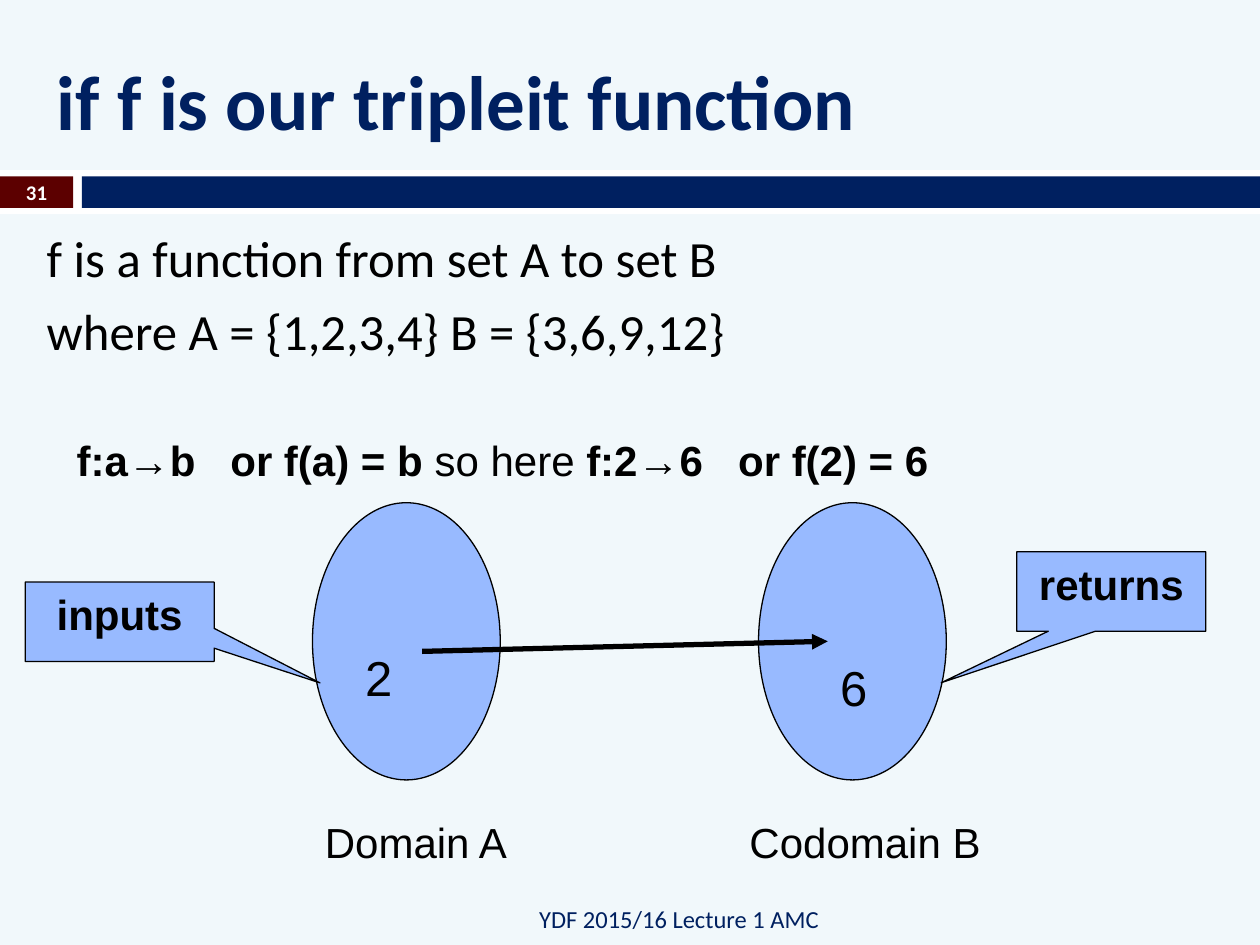
from pptx import Presentation
from pptx.dml.color import RGBColor as Rgb
from pptx.enum.shapes import MSO_CONNECTOR as Conn, MSO_SHAPE as Shape
from pptx.enum.text import MSO_ANCHOR as Anchor, PP_ALIGN as Align
from pptx.oxml.ns import qn
from pptx.util import Inches, Pt
from lxml.etree import SubElement as Sub

INK = {
    "back": "F1F8FB", "white": "FFFFFF", "navy": "002060",
    "wine": "5C0000", "sky": "98BAFF", "black": "000000",
}


def color(name):
    return Rgb.from_string(INK[name])


def write(frame, text, size=24, font="Arial", ink="black", bold=False,
          align=Align.LEFT, anchor=Anchor.TOP, gap=0, plain=False, tabs=()):
    frame.word_wrap = True
    frame.vertical_anchor = anchor
    lines = [text] if isinstance(text, str) else text
    for i, line in enumerate(lines):
        para = frame.add_paragraph() if i else frame.paragraphs[0]
        para.alignment = align
        props = para._p.get_or_add_pPr()
        if i:
            para.space_before = Pt(gap)
        if plain:
            props.set("marL", str(Inches(0.35)))
            props.set("indent", str(Inches(-0.35)))
            Sub(props, qn("a:buNone"))
        if tabs:
            stops = Sub(props, qn("a:tabLst"))
            for stop in tabs:
                Sub(stops, qn("a:tab"), pos=str(Inches(stop)), algn="l")
        parts = [(line, bold)] if isinstance(line, str) else line
        for words, heavy in parts:
            run = para.add_run()
            run.text = words
            run.font.size = Pt(size)
            run.font.name = font
            run.font.bold = heavy
            run.font.color.rgb = color(ink)


class Deck:
    def __init__(self, font="Calibri"):
        self.font = font
        self.show = Presentation()
        self.show.slide_width = Inches(10)
        self.show.slide_height = Inches(7.5)
        self.slide = self.show.slides.add_slide(self.show.slide_layouts[1])
        fill = self.slide.background.fill
        fill.solid()
        fill.fore_color.rgb = color("back")

    def holder(self, index, box, text, **style):
        item = self.slide.placeholders[index]
        item.left, item.top, item.width, item.height = map(Inches, box)
        write(item.text_frame, text, font=self.font, **style)

    def label(self, box, text, **style):
        item = self.slide.shapes.add_textbox(*map(Inches, box))
        write(item.text_frame, text, **style)

    def shape(self, kind, box, fill, line=None):
        item = self.slide.shapes.add_shape(kind, *map(Inches, box))
        item.shadow.inherit = False
        item.fill.solid()
        item.fill.fore_color.rgb = color(fill)
        if line:
            item.line.color.rgb = color(line)
            item.line.width = Pt(0.75)
        else:
            item.line.fill.background()
        return item

    def callout(self, left, top, tip, text):
        item = self.shape(Shape.RECTANGULAR_CALLOUT, (left, top, 1.5, 0.63),
                          "sky", "black")
        item.adjustments[0], item.adjustments[1] = tip
        write(item.text_frame, text, bold=True, align=Align.CENTER)

    def arrow(self, start, end):
        item = self.slide.shapes.add_connector(
            Conn.STRAIGHT, *map(Inches, start + end))
        item.line.color.rgb = color("black")
        item.line.width = Pt(3)
        Sub(item.line._get_or_add_ln(), qn("a:tailEnd"), type="triangle")
        Sub(item._element.spPr, qn("a:effectLst"))


def main():
    deck = Deck()
    for box, fill in [((0, 1.35, 10, 0.35), "white"),
                      ((0, 1.4, 0.58, 0.25), "wine"),
                      ((0.65, 1.4, 9.35, 0.25), "navy")]:
        deck.shape(Shape.RECTANGLE, box, fill)
    deck.holder(0, (0.35, 0.25, 9.37, 1.08), "if f is our tripleit function",
                size=44, ink="navy", bold=True, anchor=Anchor.MIDDLE)
    deck.holder(1, (0.27, 1.75, 9.45, 4.95),
                ["f is a function from set A to set B",
                 "where A = {1,2,3,4} B = {3,6,9,12}"],
                size=29, gap=7, plain=True)
    deck.label((0.67, 7.09, 5.93, 0.4), "YDF 2015/16 Lecture 1 AMC", size=14,
               font=deck.font, ink="navy", align=Align.RIGHT,
               anchor=Anchor.MIDDLE)
    deck.label((0, 1.39, 0.58, 0.27), "31", size=11.9, font=deck.font,
               ink="white", bold=True, align=Align.CENTER,
               anchor=Anchor.MIDDLE)

    for left in (2.48, 6.02):
        deck.shape(Shape.OVAL, (left, 3.99, 1.49, 2.2), "sky", "black")
    deck.arrow((3.35, 5.17), (6.57, 5.09))
    for left, top, digit in [(2.8, 5.09, "2"), (6.57, 5.17, "6")]:
        deck.label((left, top, 0.47, 0.57), digit, size=28)
    deck.label((2.48, 6.43, 7.24, 0.5), "Domain A\tCodomain B", tabs=[3.37])
    rule = [("f:a→b\tor f(a) = b", True), (" so here ", False),
            ("f:2→6\tor f(2) = 6", True)]
    deck.label((0.51, 3.4, 7.95, 0.5), [rule], anchor=Anchor.MIDDLE,
               tabs=[1.22, 5.25])
    deck.callout(0.2, 4.62, (1.06, 0.77), "inputs")
    deck.callout(8.07, 4.38, (-0.9, 1.15), "returns")
    deck.show.save("out.pptx")


if __name__ == "__main__":
    main()
